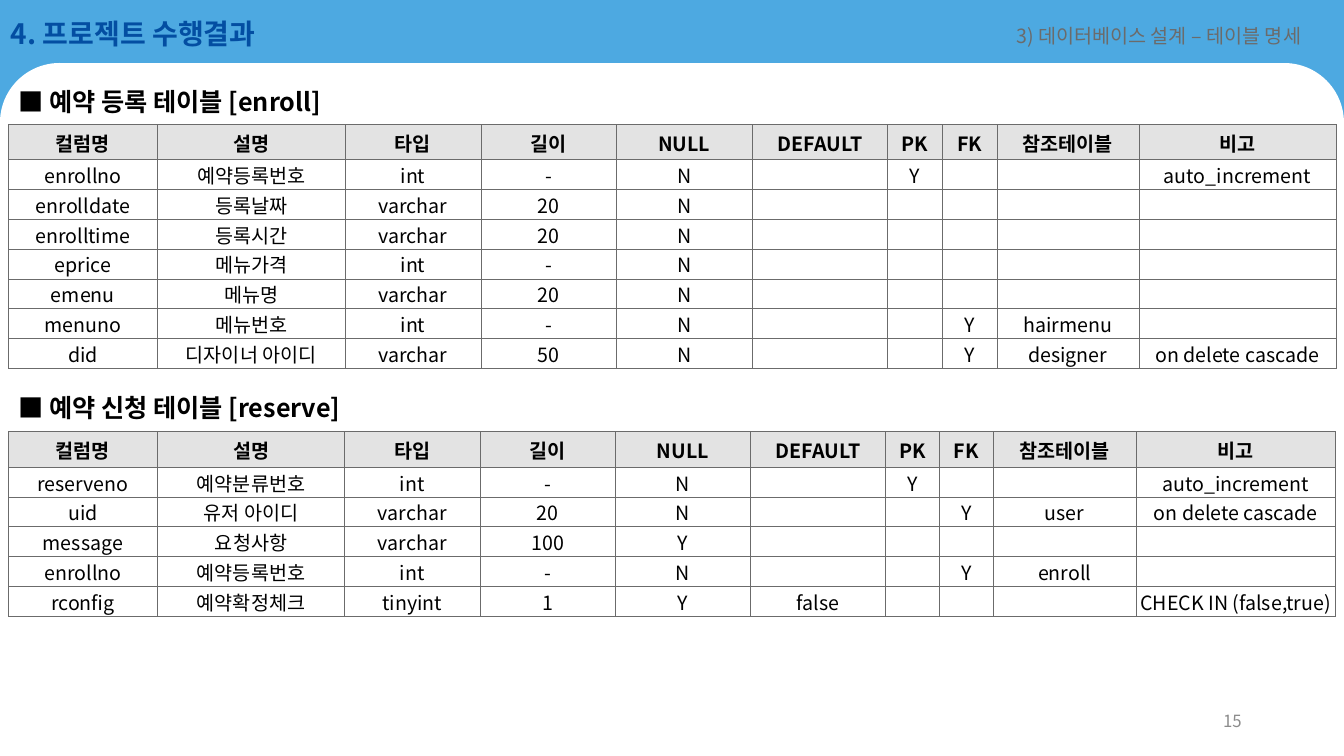
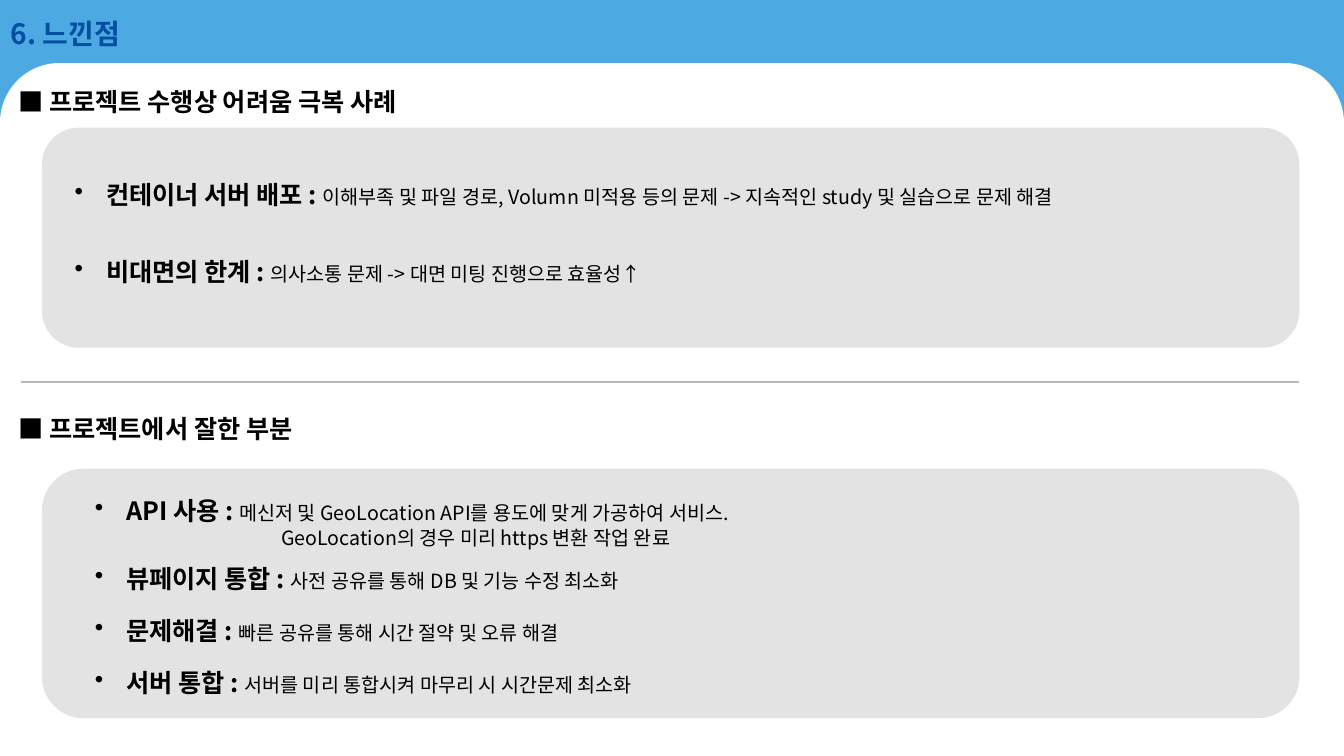
"""Build two project report slides: table specifications and lessons learned."""
import dataclasses

import lxml.etree
import pptx
import pptx.dml.color
import pptx.enum.shapes
import pptx.enum.text
import pptx.oxml.ns
import pptx.util

SHAPES = pptx.enum.shapes.MSO_SHAPE
ANCHOR = pptx.enum.text.MSO_ANCHOR
ALIGN = pptx.enum.text.PP_ALIGN
FIT = pptx.enum.text.MSO_AUTO_SIZE


@dataclasses.dataclass(frozen=True)
class Theme:
    """Colours, font and type sizes of the report."""
    font: str = "Noto Sans CJK KR"
    sky: str = "4DA9E1"
    navy: str = "034EA2"
    paper: str = "FFFFFF"
    ink: str = "000000"
    panel: str = "E3E3E3"
    grey: str = "6B6B6B"
    rule: str = "B8B8B8"
    page_grey: str = "8C8C8C"
    title: int = 20
    heading: int = 18
    body: int = 14
    page_number: int = 12


def rgb(value):
    return pptx.dml.color.RGBColor.from_string(value)


def add_xml(parent, tag, **attributes):
    return lxml.etree.SubElement(parent, pptx.oxml.ns.qn(tag), **attributes)


def apply(target, values):
    for name, value in values.items():
        setattr(target, name, value)


class Report:
    """Draws on the current slide, on a grid of 160 columns by 90 rows."""

    COLUMNS, ROWS = 160, 90

    def __init__(self, theme):
        self.theme = theme
        self.deck = pptx.Presentation()
        apply(self.deck, {"slide_width": pptx.util.Inches(13.333),
                          "slide_height": pptx.util.Inches(7.5)})
        self.page = None

    def x(self, columns):
        return round(self.deck.slide_width * columns / self.COLUMNS)

    def y(self, rows):
        return round(self.deck.slide_height * rows / self.ROWS)

    def place(self, left, top, width, height):
        return self.x(left), self.y(top), self.x(width), self.y(height)

    def start_page(self, title):
        self.page = self.deck.slides.add_slide(self.deck.slide_layouts[6])
        fill = self.page.background.fill
        fill.solid()
        fill.fore_color.rgb = rgb(self.theme.sky)
        self.shape(SHAPES.ROUND_2_SAME_RECTANGLE, (0, 7.5, 160, 82.5),
                   self.theme.paper, (0.086, 0))
        self.text((0.12, 0.5, 64, 7), title, self.theme.title, self.theme.navy, bold=True)

    def shape(self, kind, area, colour, adjustments=()):
        shape = self.page.shapes.add_shape(kind, *self.place(*area))
        shape.shadow.inherit = False
        shape.fill.solid()
        shape.fill.fore_color.rgb = rgb(colour)
        shape.line.fill.background()
        for index, value in enumerate(adjustments):
            shape.adjustments[index] = value

    def panel(self, top, height):
        self.shape(SHAPES.ROUNDED_RECTANGLE, (5, top, 149.7, height), self.theme.panel)

    def span(self, para, text, size, colour, bold=False):
        span = para.add_run()
        span.text = text
        apply(span.font, {"size": pptx.util.Pt(size), "bold": bold, "name": self.theme.font})
        span.font.color.rgb = rgb(colour)
        add_xml(span.font._element, "a:ea", typeface=self.theme.font)

    def frame(self, area, **values):
        frame = self.page.shapes.add_textbox(*self.place(*area)).text_frame
        apply(frame, {"word_wrap": True, **values})
        return frame

    def text(self, area, text, size, colour, bold=False, **layout):
        para = self.frame(area, vertical_anchor=ANCHOR.MIDDLE).paragraphs[0]
        apply(para, layout)
        self.span(para, text, size, colour, bold)

    def heading(self, top, text):
        self.text((1, top, 128, 6.5), "■ " + text, self.theme.heading, self.theme.ink,
                  bold=True, line_spacing=1.5)

    def page_number(self, number):
        self.text((113, 83.4, 36, 4.8), str(number), self.theme.page_number,
                  self.theme.page_grey, alignment=ALIGN.RIGHT)

    def indent(self, para, margin, first=0):
        properties = para._p.get_or_add_pPr()
        properties.set("marL", str(self.x(margin)))
        properties.set("indent", str(self.x(first)))
        return properties

    def bullet(self, left, top, lead, detail, continuation=None):
        theme = self.theme
        frame = self.frame((left, top, 132, 4.8), auto_size=FIT.SHAPE_TO_FIT_TEXT)
        para = frame.paragraphs[0]
        add_xml(self.indent(para, 3.75, -3.75), "a:buChar", char="•")
        self.span(para, lead + " : ", theme.heading, theme.ink, bold=True)
        self.span(para, detail, theme.body, theme.ink)
        if continuation:
            para = frame.add_paragraph()
            self.indent(para, 22.2)
            self.span(para, continuation, theme.body, theme.ink)

    def divider(self, row):
        line = self.page.shapes.add_connector(
            pptx.enum.shapes.MSO_CONNECTOR.STRAIGHT,
            self.x(2.5), self.y(row), self.x(154.7), self.y(row))
        line.line.color.rgb = rgb(self.theme.rule)
        line.line.width = pptx.util.Pt(1)
        add_xml(line._element.spPr, "a:effectLst")

    def cell(self, cell, text, header):
        theme = self.theme
        inset = pptx.util.Inches(0.01)
        apply(cell, {"margin_left": inset, "margin_right": inset, "margin_top": inset,
                     "margin_bottom": 0, "vertical_anchor": ANCHOR.MIDDLE})
        properties = cell._tc.get_or_add_tcPr()
        for side in ("a:lnL", "a:lnR", "a:lnT", "a:lnB"):
            border = add_xml(properties, side, w=str(pptx.util.Pt(0.5)))
            add_xml(add_xml(border, "a:solidFill"), "a:srgbClr", val=theme.grey)
        if header:
            cell.fill.solid()
            cell.fill.fore_color.rgb = rgb(theme.panel)
        else:
            cell.fill.background()
        para = cell.text_frame.paragraphs[0]
        para.alignment = ALIGN.CENTER
        if text:
            self.span(para, text, theme.body, theme.ink, header)
        else:
            add_xml(para._p, "a:endParaRPr", sz=str(theme.body * 100))

    def table(self, top, widths, records):
        heights = [4.2] + [3.55] * (len(records) - 1)
        table = self.page.shapes.add_table(
            len(records), len(widths),
            *self.place(1, top, sum(widths), sum(heights))).table
        apply(table, {"first_row": False, "horz_banding": False})
        for column, width in zip(table.columns, widths):
            column.width = self.x(width)
        for index, (row, height, record) in enumerate(zip(table.rows, heights, records)):
            row.height = self.y(height)
            for cell, text in zip(row.cells, record.split("|")):
                self.cell(cell, text, header=index == 0)


FIELDS = "컬럼명|설명|타입|길이|NULL|DEFAULT|PK|FK|참조테이블|비고"
ENROLL = [
    FIELDS,
    "enrollno|예약등록번호|int|-|N||Y|||auto_increment",
    "enrolldate|등록날짜|varchar|20|N|||||",
    "enrolltime|등록시간|varchar|20|N|||||",
    "eprice|메뉴가격|int|-|N|||||",
    "emenu|메뉴명|varchar|20|N|||||",
    "menuno|메뉴번호|int|-|N|||Y|hairmenu|",
    "did|디자이너 아이디|varchar|50|N|||Y|designer|on delete cascade",
]
RESERVE = [
    FIELDS,
    "reserveno|예약분류번호|int|-|N||Y|||auto_increment",
    "uid|유저 아이디|varchar|20|N|||Y|user|on delete cascade",
    "message|요청사항|varchar|100|Y|||||",
    "enrollno|예약등록번호|int|-|N|||Y|enroll|",
    "rconfig|예약확정체크|tinyint|1|Y|false||||CHECK IN (false,true)",
]
DIFFICULTIES = [
    ("컨테이너 서버 배포",
     "이해부족 및 파일 경로, Volumn 미적용 등의 문제 -> 지속적인 study 및 실습으로 문제 해결"),
    ("비대면의 한계", "의사소통 문제 -> 대면 미팅 진행으로 효율성↑"),
]
STRENGTHS = [
    ("뷰페이지 통합", "사전 공유를 통해 DB 및 기능 수정 최소화"),
    ("문제해결", "빠른 공유를 통해 시간 절약 및 오류 해결"),
    ("서버 통합", "서버를 미리 통합시켜 마무리 시 시간문제 최소화"),
]


def table_page(report):
    theme = report.theme
    report.start_page("4. 프로젝트 수행결과")
    report.text((119.8, 2.2, 40.2, 4), "3) 데이터베이스 설계 – 테이블 명세",
                theme.body, theme.grey)
    report.heading(7.9, "예약 등록 테이블 [enroll]")
    report.table(14.8, [17.75, 22.35, *[16.15] * 4, 6.5, 6.5, 16.9, 23.45], ENROLL)
    report.heading(44.3, "예약 신청 테이블 [reserve]")
    report.table(51.4, [17.75, 22.3, *[16.1] * 4, 6.4, 6.4, 17.05, 23.7], RESERVE)
    report.page_number(15)


def lessons_page(report):
    report.start_page("6. 느낀점")
    report.heading(7.9, "프로젝트 수행상 어려움 극복 사례")
    report.panel(15.2, 26.2)
    for index, item in enumerate(DIFFICULTIES):
        report.bullet(7.7, 20.8 + 9.1 * index, *item)
    report.divider(45.5)
    report.heading(46.8, "프로젝트에서 잘한 부분")
    report.panel(55.8, 29.7)
    report.bullet(10.1, 58.4, "API 사용",
                  "메신저 및 GeoLocation API를 용도에 맞게 가공하여 서비스.",
                  "GeoLocation의 경우 미리 https 변환 작업 완료")
    for index, item in enumerate(STRENGTHS):
        report.bullet(10.1, 66.5 + 6.2 * index, *item)


def main():
    report = Report(Theme())
    table_page(report)
    lessons_page(report)
    report.deck.save("out.pptx")


if __name__ == "__main__":
    main()
